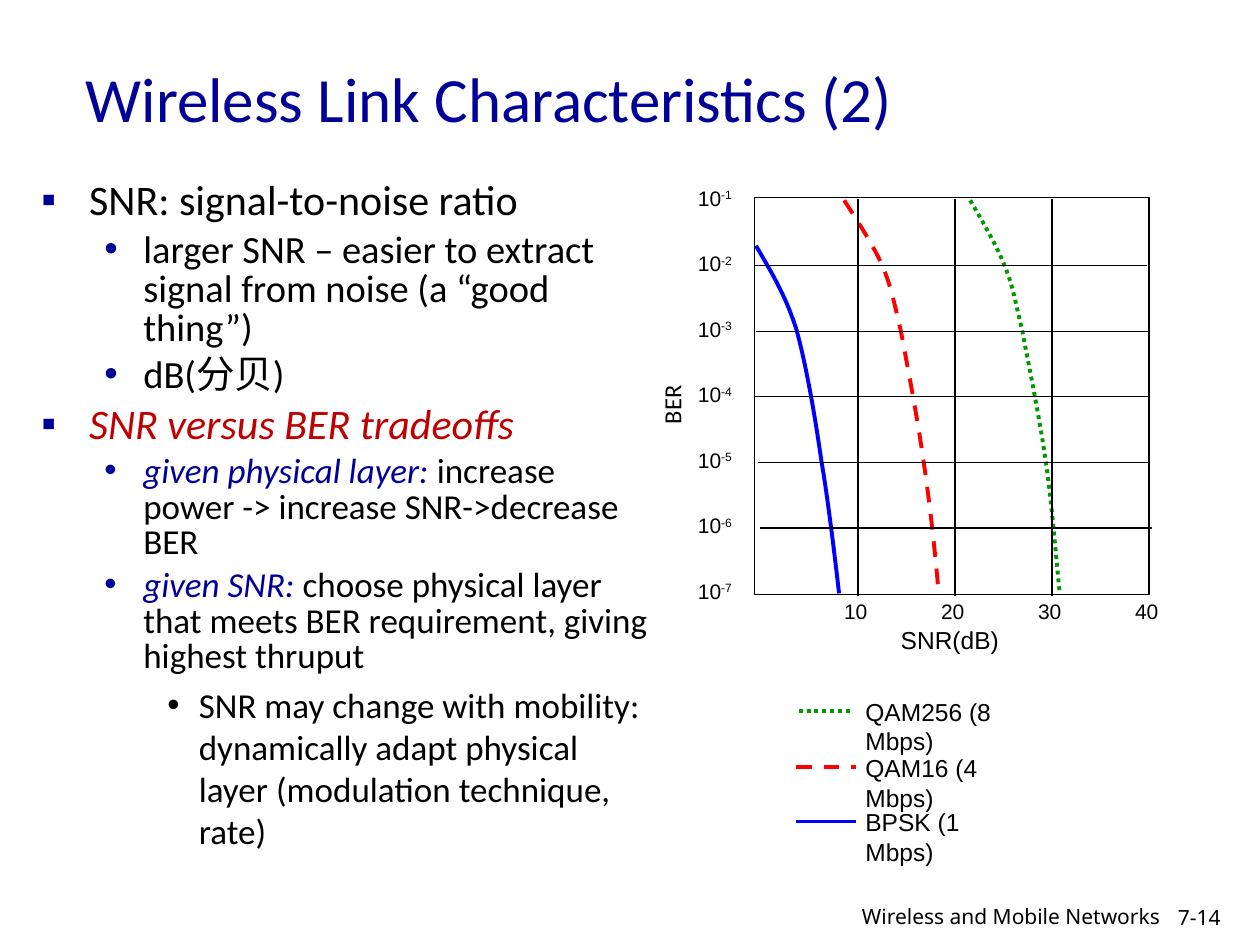
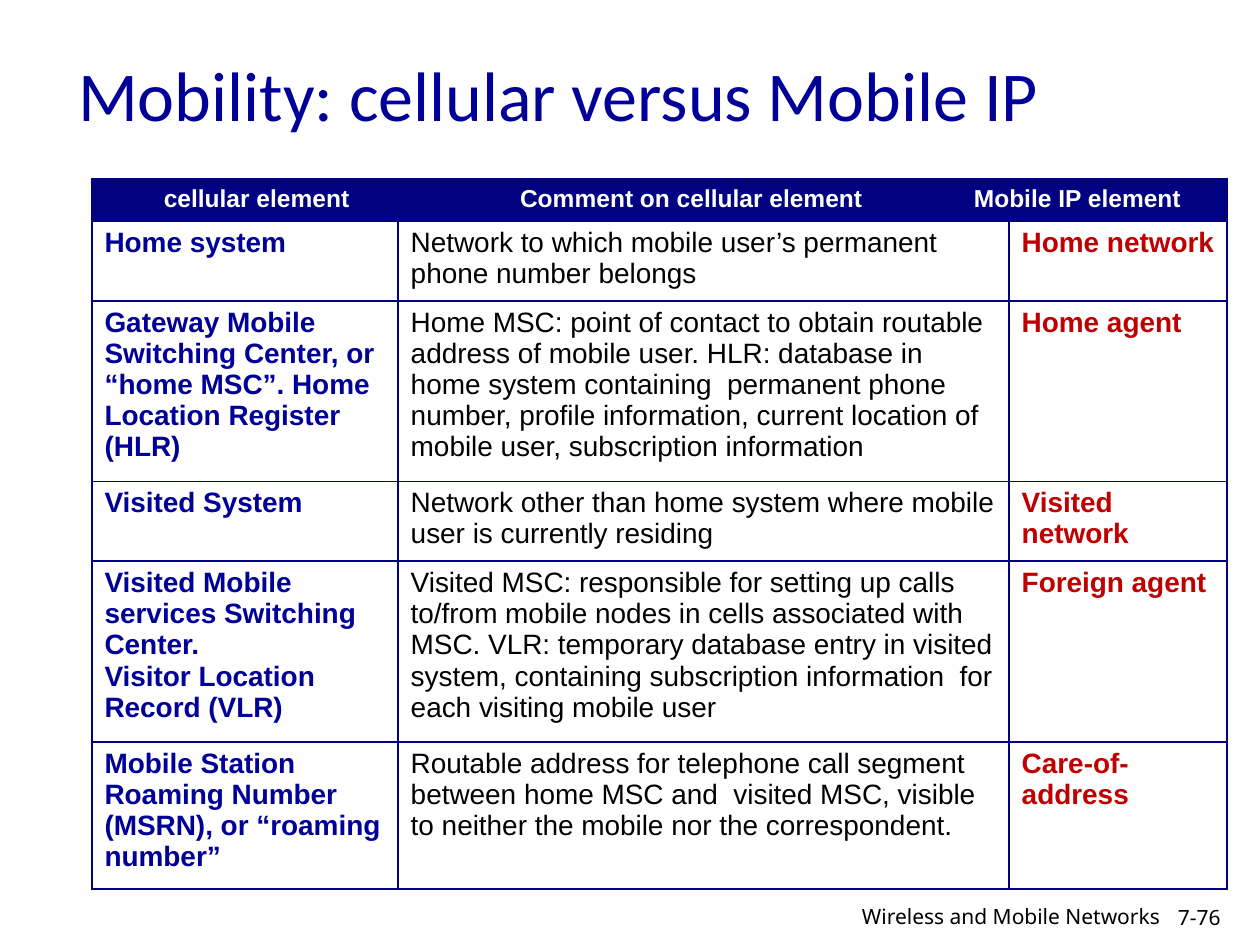
"""Build two lecture slides: SNR versus BER curves, and a cellular / Mobile IP comparison table."""
from dataclasses import dataclass

from lxml import etree
from pptx import Presentation
from pptx.dml.color import RGBColor
from pptx.enum.dml import MSO_LINE
from pptx.enum.shapes import MSO_CONNECTOR, MSO_SHAPE
from pptx.enum.text import MSO_ANCHOR, MSO_AUTO_SIZE, PP_ALIGN
from pptx.oxml import parse_xml
from pptx.oxml.ns import nsdecls, qn
from pptx.util import Inches, Pt

LEFT, CENTER, RIGHT = PP_ALIGN.LEFT, PP_ALIGN.CENTER, PP_ALIGN.RIGHT
MIDDLE, TOP = MSO_ANCHOR.MIDDLE, MSO_ANCHOR.TOP
DASH, DOT, SOLID = MSO_LINE.DASH, MSO_LINE.ROUND_DOT, MSO_LINE.SOLID
STRAIGHT, RECTANGLE = MSO_CONNECTOR.STRAIGHT, MSO_SHAPE.RECTANGLE
TITLE_ONLY = 5


@dataclass(frozen=True)
class Theme:
    """Colours, fonts and type sizes shared by the slides."""
    navy: str = "000099"
    table_navy: str = "000080"
    red: str = "C00000"
    black: str = "000000"
    white: str = "FFFFFF"
    blue_curve: str = "0000FF"
    red_curve: str = "FF0000"
    green_curve: str = "009900"
    text_font: str = "Calibri"
    label_font: str = "Arial"
    footer_font: str = "Noto Sans"
    tick: int = 12
    label: int = 14
    cell: int = 16
    curve: float = 2.25
    grid: float = 0.75


THEME = Theme()
FOOTER = "Wireless and Mobile Networks "

LINK = {"title": "Wireless Link Characteristics (2)", "at": (0.58, 0.15), "size": 36, "number": "7-14"}
MOBILITY = {"title": "Mobility: cellular versus Mobile IP", "at": (0.52, 0.12), "size": 40, "number": "7-76"}

PLAIN, RED_ITALIC, NAVY_ITALIC = (THEME.black, False), (THEME.red, True), (THEME.navy, True)
BULLETS = [
    (0, 24, [("SNR: signal-to-noise ratio", PLAIN)]),
    (1, 22, [("larger SNR – easier to extract signal from noise (a “good thing”)", PLAIN)]),
    (1, 22, [("dB(分贝)", PLAIN)]),
    (0, 24, [("SNR versus BER tradeoffs", RED_ITALIC)]),
    (1, 20, [("given physical layer:", NAVY_ITALIC),
             (" increase power -> increase SNR->decrease BER", PLAIN)]),
    (1, 20, [("given SNR:", NAVY_ITALIC),
             (" choose physical layer that meets BER requirement, giving highest thruput", PLAIN)]),
    (2, 20, [("SNR may change with mobility: dynamically adapt physical layer "
              "(modulation technique, rate)", PLAIN)]),
]
LEVELS = [
    {"mark": "▪", "margin": 0.38, "hang": 0.38, "color": THEME.navy, "spacing": 0.85},
    {"mark": "•", "margin": 0.81, "hang": 0.31, "color": THEME.navy, "spacing": 0.85},
    {"mark": "•", "margin": 1.25, "hang": 0.25, "color": THEME.black, "spacing": 1.0},
]

PLOT = (5.99, 1.57, 3.13, 3.15)
SNR_TICKS = ["10", "20", "30", "40"]
BER_EXPONENTS = ["-1", "-2", "-3", "-4", "-5", "-6", "-7"]
ROW_STEP, COLUMN_STEP = 0.52, 0.77
CURVES = [
    {"name": "BPSK (1 Mbps)", "color": THEME.blue_curve, "dash": SOLID, "key": (6.32, 6.79, 6.52),
     "points": [(6, 1.95), (6.11, 2.14), (6.23, 2.33), (6.32, 2.61), (6.4, 2.9), (6.47, 3.31),
                (6.52, 3.66), (6.58, 4.01), (6.64, 4.54), (6.66, 4.71)]},
    {"name": "QAM16 (4 Mbps)", "color": THEME.red_curve, "dash": DASH, "key": (6.32, 6.79, 6.09),
     "points": [(6.7, 1.59), (6.81, 1.76), (6.92, 1.93), (7, 2.1), (7.07, 2.27), (7.09, 2.37),
                (7.15, 2.63), (7.2, 2.89), (7.28, 3.31), (7.33, 3.66), (7.38, 4), (7.42, 4.36),
                (7.45, 4.71)]},
    {"name": "QAM256 (8 Mbps)", "color": THEME.green_curve, "dash": DOT, "key": (6.34, 6.77, 5.64),
     "points": [(7.7, 1.59), (7.8, 1.76), (7.9, 1.93), (7.97, 2.1), (8.04, 2.27), (8.05, 2.36),
                (8.11, 2.61), (8.16, 2.87), (8.25, 3.31), (8.3, 3.66), (8.35, 4), (8.39, 4.52),
                (8.41, 4.7)]},
]

TABLE_AT = (0.73, 1.42)
COLUMN_WIDTHS = [2.43, 0.2, 4.23, 0.38, 1.73]
ROW_HEIGHTS = [0.33, 0.63, 1.43, 0.63, 1.43, 1.17]
HEADER_SPANS, BODY_SPANS = [(0, 1), (2, 2), (3, 4)], [(0, 0), (1, 3), (4, 4)]
HEADER_ALIGN = [CENTER, CENTER, LEFT]
BODY_STYLE = [(THEME.navy, True), (THEME.black, False), (THEME.red, True)]
TABLE_ROWS = [
    ("cellular element ", "Comment on cellular element ", "Mobile IP element"),
    ("Home system", "Network to which mobile user’s permanent phone number belongs", "Home network"),
    ("Gateway Mobile Switching Center, or “home MSC”. Home Location Register (HLR)",
     "Home MSC: point of contact to obtain routable address of mobile user. HLR: database in home "
     "system containing  permanent phone number, profile information, current location of mobile "
     "user, subscription information", "Home agent"),
    ("Visited System", "Network other than home system where mobile user is currently residing",
     "Visited network"),
    ("Visited Mobile services Switching Center.\nVisitor Location Record (VLR)",
     "Visited MSC: responsible for setting up calls to/from mobile nodes in cells associated with "
     "MSC. VLR: temporary database entry in visited system, containing subscription information  "
     "for each visiting mobile user", "Foreign agent"),
    ("Mobile Station Roaming Number (MSRN), or “roaming number”",
     "Routable address for telephone call segment between home MSC and  visited MSC, visible to "
     "neither the mobile nor the correspondent.", "Care-of-address"),
]


def assign(target, values):
    """Set each attribute named in values."""
    for name, value in values.items():
        setattr(target, name, value)


def add_span(para, text, size, font, color=THEME.black, **extra):
    """Append formatted text to a paragraph."""
    span = para.add_run()
    span.text = text
    assign(span.font, {"size": Pt(size), "name": font, **extra})
    span.font.color.rgb = RGBColor.from_string(color)
    return span


def add_box(page, left, top, width, height, wrap=True):
    """Add an empty text box and return it."""
    box = page.shapes.add_textbox(Inches(left), Inches(top), Inches(width), Inches(height))
    box.text_frame.word_wrap = wrap
    return box


def add_label(page, text, at, size, font=THEME.label_font, align=LEFT, wrap=False):
    """Add a one-paragraph label and return its box."""
    box = add_box(page, *at, wrap=wrap)
    para = box.text_frame.paragraphs[0]
    para.alignment = align
    add_span(para, text, size, font)
    return box


def style_line(line, color, width, dash=SOLID):
    """Give a line its colour, width and dash."""
    line.color.rgb = RGBColor.from_string(color)
    assign(line, {"width": Pt(width), "dash_style": dash})


def add_line(page, start, end, color=THEME.black, width=THEME.grid, dash=SOLID):
    """Add a straight connector without shadow."""
    line = page.shapes.add_connector(STRAIGHT, *map(Inches, start + end))
    style_line(line.line, color, width, dash)
    etree.SubElement(line._element.spPr, qn("a:effectLst"))
    return line


def add_page(deck, heading):
    """Add a slide with its title, number and footer."""
    page = deck.slides.add_slide(deck.slide_layouts[TITLE_ONLY])
    title = page.shapes.title
    left, top = heading["at"]
    assign(title, {"left": Inches(left), "top": Inches(top), "width": Inches(8.5), "height": Inches(1.25)})
    assign(title.text_frame, {"vertical_anchor": MIDDLE, "word_wrap": True, "auto_size": MSO_AUTO_SIZE.NONE})
    para = title.text_frame.paragraphs[0]
    para.alignment = LEFT
    add_span(para, heading["title"], heading["size"], THEME.text_font, THEME.navy)
    add_label(page, heading["number"], (9.25, 7.13, 0.75, 0.3), THEME.tick, THEME.footer_font, wrap=True)
    add_label(page, FOOTER, (6.4, 7.12, 2.95, 0.28), THEME.tick, THEME.footer_font, RIGHT, True)
    return page


def add_bullets(page):
    """Write the bulleted text on the left."""
    frame = add_box(page, 0.23, 1.39, 5.03, 5.68).text_frame
    for index, (depth, size, spans) in enumerate(BULLETS):
        para = frame.add_paragraph() if index else frame.paragraphs[0]
        level = LEVELS[depth]
        assign(para, {"level": depth, "line_spacing": level["spacing"], "space_before": Pt(0.2 * size)})
        properties = para._p.get_or_add_pPr()
        properties.set("marL", str(Inches(level["margin"])))
        properties.set("indent", str(-Inches(level["hang"])))
        color = etree.SubElement(properties, qn("a:buClr"))
        etree.SubElement(color, qn("a:srgbClr"), val=level["color"])
        etree.SubElement(properties, qn("a:buFont"), typeface=THEME.label_font)
        etree.SubElement(properties, qn("a:buChar"), char=level["mark"])
        for text, (ink, italic) in spans:
            add_span(para, text, size, THEME.text_font, ink, italic=italic)


def smooth_points(points, steps=10):
    """Sample a chain of cubic Bezier segments."""
    for first in range(0, len(points) - 1, 3):
        a, b, c, d = points[first:first + 4]
        for step in range(1, steps + 1):
            t = step / steps
            weights = ((1 - t) ** 3, 3 * t * (1 - t) ** 2, 3 * t * t * (1 - t), t ** 3)
            yield tuple(Inches(sum(w * p[axis] for w, p in zip(weights, (a, b, c, d)))) for axis in (0, 1))


def add_curve(page, curve):
    """Draw one BER curve with its legend entry."""
    look = (curve["color"], THEME.curve, curve["dash"])
    builder = page.shapes.build_freeform(*map(Inches, curve["points"][0]))
    builder.add_line_segments(list(smooth_points(curve["points"])), close=False)
    outline = builder.convert_to_shape()
    outline.shadow.inherit = False
    outline.fill.background()
    style_line(outline.line, *look)
    left, right, height = curve["key"]
    add_line(page, (left, height), (right, height), *look)
    add_label(page, curve["name"], (6.77, height - 0.16, 1.3, 0.33), THEME.label, wrap=True)


def add_plot(page):
    """Draw the frame, grid, curves and axis labels."""
    left, top, width, height = PLOT
    for curve in CURVES:
        add_curve(page, curve)
    frame = page.shapes.add_shape(RECTANGLE, *map(Inches, PLOT))
    frame.shadow.inherit = False
    frame.fill.background()
    style_line(frame.line, THEME.black, THEME.grid)
    for row in range(5):
        start, level = left + 0.01 * row, 2.11 + ROW_STEP * row
        line = add_line(page, (start, level), (start + 3.11, level))
        if row == 2:
            line.begin_connect(frame, 1)
            line.end_connect(frame, 3)
    for column in range(3):
        across = 6.81 + COLUMN_STEP * column
        add_line(page, (across, top + 0.01), (across, top + height + 0.01))
    for column, text in enumerate(SNR_TICKS):
        add_label(page, text, (6.6 + COLUMN_STEP * column, 4.7, 0.39, 0.3), THEME.tick)
    for row, exponent in enumerate(BER_EXPONENTS):
        box = add_label(page, "10", (5.44, 1.42 + ROW_STEP * row, 0.48, 0.3), THEME.tick)
        span = add_span(box.text_frame.paragraphs[0], exponent, THEME.tick, THEME.label_font)
        span.font._element.set("baseline", "30000")
    add_label(page, "SNR(dB)", (7.05, 4.91, 0.98, 0.33), THEME.label)
    add_label(page, "BER", (5.07, 3.03, 0.53, 0.34), THEME.label, THEME.text_font).rotation = 270


def add_borders(cell):
    """Outline a table cell on its four sides."""
    properties = cell._tc.get_or_add_tcPr()
    for side in ("lnL", "lnR", "lnT", "lnB"):
        properties.append(parse_xml(
            f'<a:{side} {nsdecls("a")} w="{Pt(1)}"><a:solidFill>'
            f'<a:srgbClr val="{THEME.table_navy}"/></a:solidFill></a:{side}>'))


def add_comparison(page):
    """Build the comparison table."""
    size = (sum(COLUMN_WIDTHS), sum(ROW_HEIGHTS))
    table = page.shapes.add_table(len(ROW_HEIGHTS), len(COLUMN_WIDTHS), *map(Inches, TABLE_AT + size)).table
    assign(table, {"first_row": False, "horz_banding": False})
    for column, width in zip(table.columns, COLUMN_WIDTHS):
        column.width = Inches(width)
    for row, height in zip(table.rows, ROW_HEIGHTS):
        row.height = Inches(height)
    for cell in table.iter_cells():
        add_borders(cell)
        cell.fill.background()
    for row, texts in enumerate(TABLE_ROWS):
        spans = BODY_SPANS if row else HEADER_SPANS
        for part, (text, (first, last)) in enumerate(zip(texts, spans)):
            cell = table.cell(row, first)
            if last > first:
                cell.merge(table.cell(row, last))
            cell.vertical_anchor = TOP
            color, bold = BODY_STYLE[part] if row else (THEME.white, True)
            if not row:
                cell.fill.solid()
                cell.fill.fore_color.rgb = RGBColor.from_string(THEME.table_navy)
            for index, line in enumerate(text.split("\n")):
                para = cell.text_frame.add_paragraph() if index else cell.text_frame.paragraphs[0]
                para.alignment = LEFT if row else HEADER_ALIGN[part]
                add_span(para, line, THEME.cell if row else THEME.label, THEME.label_font, color, bold=bold)


def main():
    """Build and save the deck."""
    deck = Presentation()
    assign(deck, {"slide_width": Inches(10), "slide_height": Inches(7.5)})
    link_page = add_page(deck, LINK)
    add_bullets(link_page)
    add_plot(link_page)
    add_comparison(add_page(deck, MOBILITY))
    deck.save("out.pptx")


if __name__ == "__main__":
    main()
